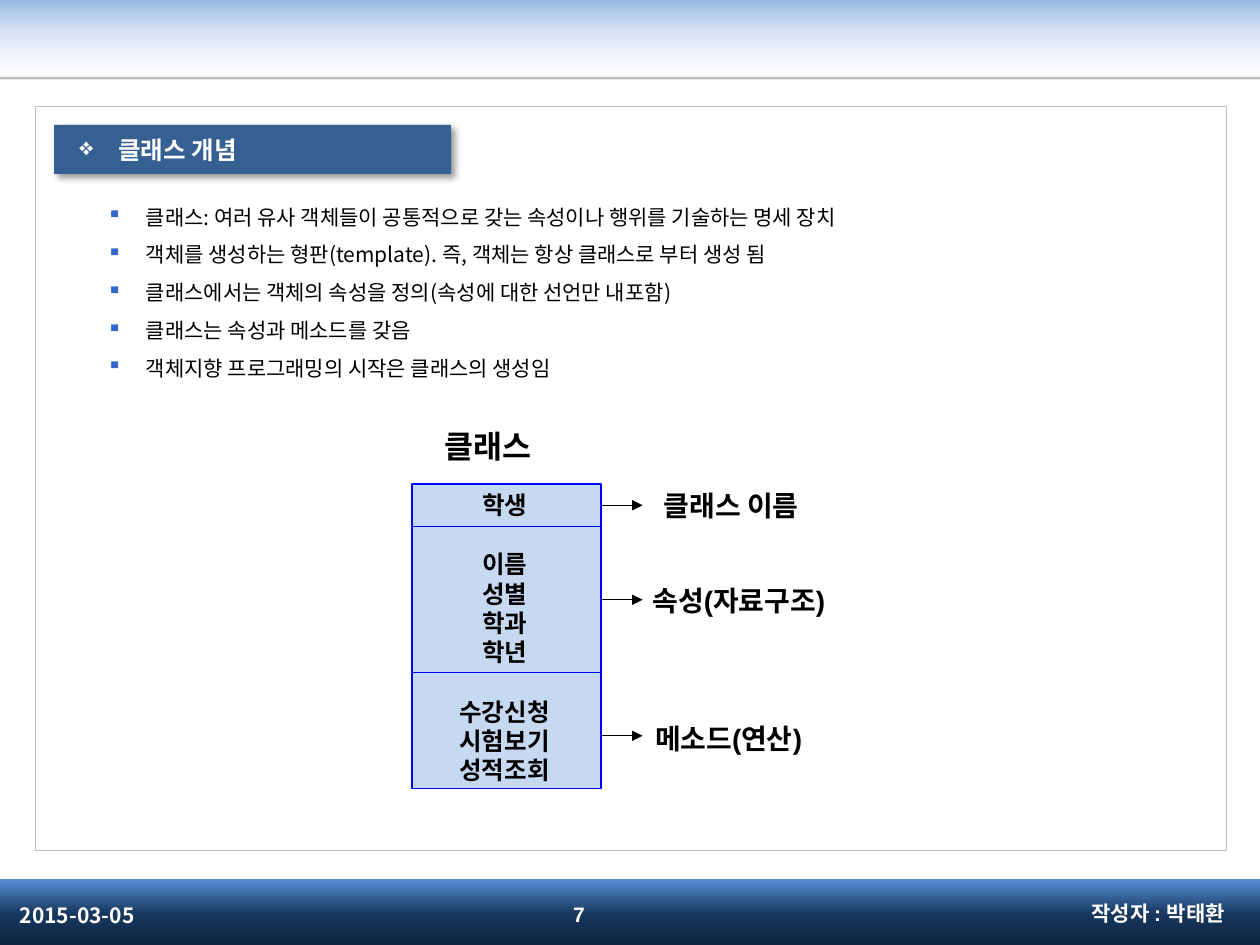
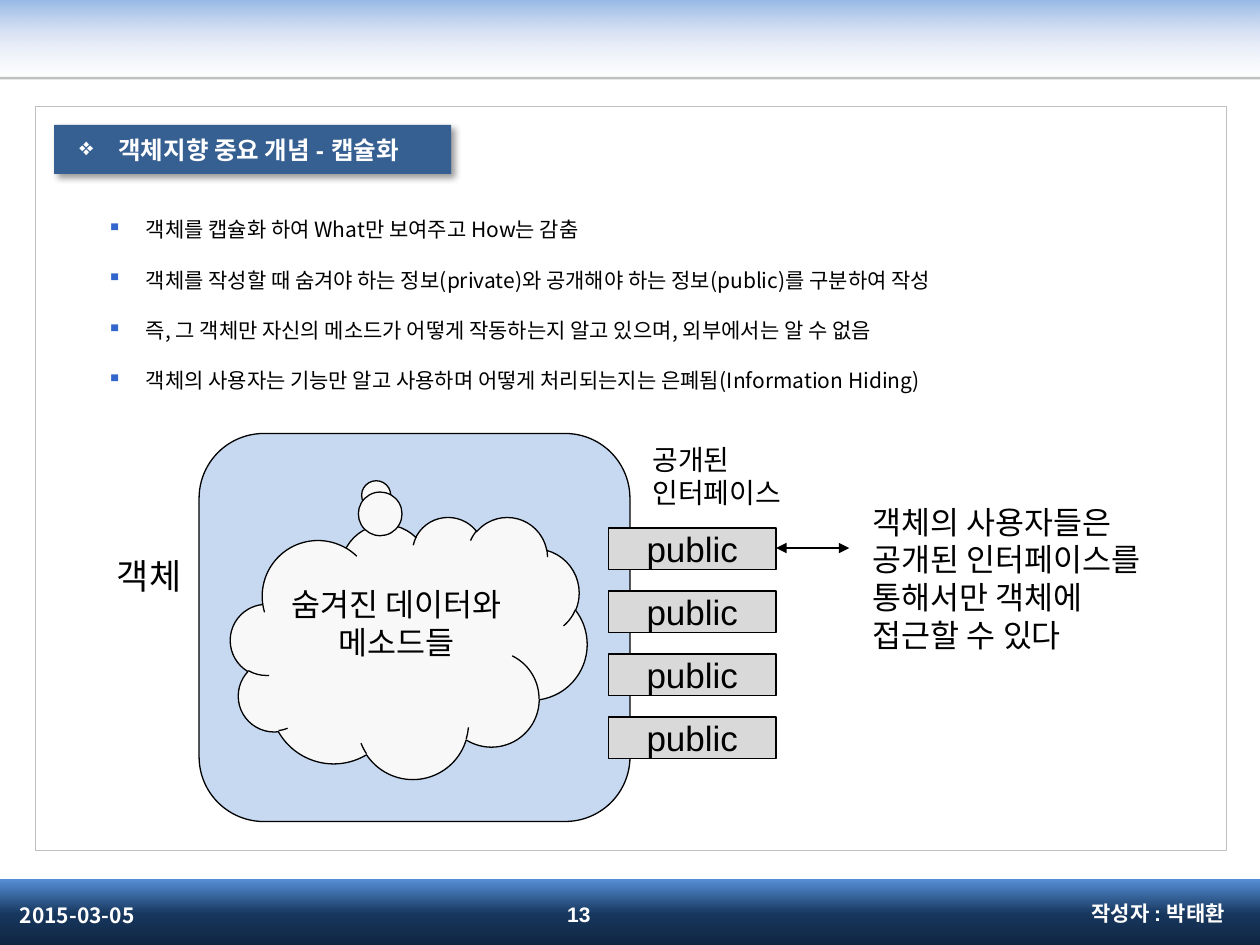
import pptx
import pptx.util
import pptx.dml.color
import pptx.enum.shapes
import pptx.enum.text
import pptx.oxml.ns
import lxml.etree

Inches = pptx.util.Inches
RGBColor = pptx.dml.color.RGBColor
KIND = pptx.enum.shapes.MSO_SHAPE
ALIGN = pptx.enum.text.PP_ALIGN
ANCHOR = pptx.enum.text.MSO_ANCHOR

BLACK = RGBColor(0x00, 0x00, 0x00)
WHITE = RGBColor(0xFF, 0xFF, 0xFF)
GRAY = RGBColor(0xBF, 0xBF, 0xBF)
SILVER = RGBColor(0xD9, 0xD9, 0xD9)
CLOUD = RGBColor(0xF8, 0xF8, 0xF8)
NAVY = RGBColor(0x37, 0x60, 0x92)
PALE = RGBColor(0xC6, 0xD9, 0xF1)
BLUE = RGBColor(0x00, 0x00, 0xFF)
MARK = RGBColor(0x33, 0x66, 0xCC)

ARIAL = "Arial"
NOTO = "Noto Sans CJK KR"

TOP_FADE = [(0, "8EB4E3", 100), (50, "C2D1ED", 50), (100, "E1E8F5", 0)]
FOOT_FADE = [(0, "558ED5", 100), (50, "17375E", 100), (100, "0F243E", 100)]

DATE = "2015-03-05"
AUTHOR = "작성자 : 박태환"

CLASS = {
    "title": "클래스 개념",
    "page": "7",
    "space": 1.5,
    "points": [
        "클래스: 여러 유사 객체들이 공통적으로 갖는 속성이나 행위를 기술하는 명세 장치",
        "객체를 생성하는 형판(template). 즉, 객체는 항상 클래스로 부터 생성 됨",
        "클래스에서는 객체의 속성을 정의(속성에 대한 선언만 내포함)",
        "클래스는 속성과 메소드를 갖음",
        "객체지향 프로그래밍의 시작은 클래스의 생성임",
    ],
}
PARTS = [["학생"], ["이름", "성별", "학과", "학년"], ["수강신청", "시험보기", "성적조회"]]
RULES = [4.18, 5.34]
LABELS = [
    ("클래스 이름", (5.17, 3.83, 1.4, 0.37), 4.01),
    ("속성(자료구조)", (5.08, 4.58, 1.71, 0.37), 4.76),
    ("메소드(연산)", (5.1, 5.68, 1.49, 0.37), 5.84),
]

CAPSULE = {
    "title": "객체지향 중요 개념 - 캡슐화",
    "page": "13",
    "space": 2.0,
    "points": [
        "객체를 캡슐화 하여 What만 보여주고 How는 감춤",
        "객체를 작성할 때 숨겨야 하는 정보(private)와 공개해야 하는 정보(public)를 구분하여 작성",
        "즉, 그 객체만 자신의 메소드가 어떻게 작동하는지 알고 있으며, 외부에서는 알 수 없음",
        "객체의 사용자는 기능만 알고 사용하며 어떻게 처리되는지는 은폐됨(Information Hiding)",
    ],
}
HIDDEN = ["숨겨진 데이터와", "메소드들"]
PORTS = ["public"] * 4
NOTES = [
    (["공개된", "인터페이스"], (5.08, 3.46, 1.31, 0.64), 16),
    (["객체"], (0.83, 4.35, 0.76, 0.43), 20),
    (["객체의 사용자들은", "공개된 인터페이스를", "통해서만 객체에", "접근할 수 있다"],
     (6.83, 3.94, 2.58, 1.6), 18),
]


def add_node(root, tag, **attrs):
    node = lxml.etree.SubElement(root, pptx.oxml.ns.qn("a:" + tag))
    for key, value in attrs.items():
        node.set(key, str(value))
    return node


def add_box(slide, kind, at, fill=None, line=None, width=0.75):
    shape = slide.shapes.add_shape(kind, *map(Inches, at))
    shape.shadow.inherit = False
    if fill is None:
        shape.fill.background()
    else:
        shape.fill.solid()
        shape.fill.fore_color.rgb = fill
    if line is None:
        shape.line.fill.background()
    else:
        shape.line.color.rgb = line
        shape.line.width = pptx.util.Pt(width)
    return shape


def add_fade(slide, at, stops):
    band = add_box(slide, KIND.RECTANGLE, at, WHITE)
    props = band.fill._xPr
    solid = props.find(pptx.oxml.ns.qn("a:solidFill"))
    grad = add_node(props, "gradFill", rotWithShape=1)
    chain = add_node(grad, "gsLst")
    for pos, color, alpha in stops:
        stop = add_node(chain, "gs", pos=pos * 1000)
        tint = add_node(stop, "srgbClr", val=color)
        if alpha < 100:
            add_node(tint, "alpha", val=alpha * 1000)
    add_node(grad, "lin", ang=90 * 60000, scaled=0)
    props.replace(solid, grad)


def add_line(slide, start, end, color, head=False, tail=False):
    line = slide.shapes.add_connector(
        pptx.enum.shapes.MSO_CONNECTOR.STRAIGHT, *map(Inches, start + end))
    line.line.color.rgb = color
    line.line.width = pptx.util.Pt(0.75)
    stroke = line.line._get_or_add_ln()
    if head:
        add_node(stroke, "headEnd", type="triangle")
    if tail:
        add_node(stroke, "tailEnd", type="triangle")
    add_node(line._element.spPr, "effectLst")


def write(shape, lines, size, color=BLACK, font=ARIAL, bold=False, align=ALIGN.LEFT,
          anchor=ANCHOR.TOP, wrap=True, bullet=None, mark=None, space=None):
    frame = shape.text_frame
    frame.word_wrap = wrap
    frame.vertical_anchor = anchor
    for i, words in enumerate(lines):
        para = frame.paragraphs[0] if i == 0 else frame.add_paragraph()
        para.alignment = align
        if space:
            para.line_spacing = space
        if bullet:
            props = para._p.get_or_add_pPr()
            props.set("marL", str(Inches(0.31)))
            props.set("indent", str(Inches(-0.31)))
            if mark is not None:
                add_node(add_node(props, "buClr"), "srgbClr", val=mark)
            add_node(props, "buChar", char=bullet)
        run = para.add_run()
        run.text = words
        run.font.size = pptx.util.Pt(size)
        run.font.bold = bold
        run.font.name = font
        run.font.color.rgb = color
        add_node(run._r.get_or_add_rPr(), "ea", typeface=NOTO)
    return frame


def add_text(slide, at, lines, size, **style):
    return write(slide.shapes.add_textbox(*map(Inches, at)), lines, size, **style)


def add_base(deck, data):
    slide = deck.slides.add_slide(deck.slide_layouts[6])
    add_fade(slide, (-0.04, -0.03, 10.04, 0.66), TOP_FADE)
    add_fade(slide, (-0.04, 6.98, 10.04, 0.55), FOOT_FADE)
    add_box(slide, KIND.RECTANGLE, (0, 0.61, 10, 0.02), GRAY)
    add_box(slide, KIND.RECTANGLE, (0.28, 0.84, 9.45, 5.91), line=GRAY, width=0.25)

    title = add_box(slide, KIND.RECTANGLE, (0.43, 0.99, 3.15, 0.39), NAVY)
    effects = title._element.spPr.find(pptx.oxml.ns.qn("a:effectLst"))
    shade = add_node(effects, "outerShdw", blurRad=pptx.util.Pt(4), dist=pptx.util.Pt(3),
                     dir=45 * 60000, algn="tl", rotWithShape=0)
    add_node(add_node(shade, "srgbClr", val=BLACK), "alpha", val=40000)
    frame = write(title, [data["title"]], 14, color=WHITE, bold=True,
                  anchor=ANCHOR.MIDDLE, bullet="❖")
    frame.margin_left = Inches(0.2)

    add_text(slide, (0.75, 1.47, 8.9, 1.92), data["points"], 12, font=NOTO,
             bullet="▪", mark=MARK, space=data["space"])
    foot = [
        (AUTHOR, (6.65, 7.05, 3.17, 0.4), ARIAL, ALIGN.RIGHT),
        (DATE, (0.06, 7.06, 2.33, 0.4), NOTO, ALIGN.LEFT),
        (data["page"], (3.43, 7.06, 2.33, 0.39), ARIAL, ALIGN.CENTER),
    ]
    for words, at, font, align in foot:
        add_text(slide, at, [words], 12, color=WHITE, font=font, bold=True,
                 align=align, anchor=ANCHOR.MIDDLE)
    return slide


def draw_class(deck):
    slide = add_base(deck, CLASS)
    left, width = 3.27, 1.5
    right = left + width
    add_box(slide, KIND.RECTANGLE, (left, 3.84, width, 2.42), PALE, BLUE)
    for y in RULES:
        add_line(slide, (left, y), (right, y), BLUE)
    frame = add_text(slide, (3.51, 3.84, 0.99, 2.46), sum(PARTS, []), 14,
                     bold=True, align=ALIGN.CENTER)
    first = 0
    for part in PARTS[:-1]:
        first += len(part)
        frame.paragraphs[first].space_before = pptx.util.Pt(17)
    for words, at, y in LABELS:
        add_line(slide, (right, y), (5.1, y), BLACK, tail=True)
        add_text(slide, at, [words], 16, bold=True)
    add_text(slide, (3.43, 3.34, 0.96, 0.4), ["클래스"], 18, bold=True)


def draw_capsule(deck):
    slide = add_base(deck, CAPSULE)
    shell = add_box(slide, KIND.ROUNDED_RECTANGLE, (1.58, 3.44, 3.42, 3.08), PALE, BLACK)
    shell.adjustments[0] = 0.167
    cloud = add_box(slide, KIND.CLOUD_CALLOUT, (1.83, 4.1, 2.83, 2.08), CLOUD, BLACK)
    cloud.adjustments[0] = -0.094
    cloud.adjustments[1] = -0.598
    frame = write(cloud, HIDDEN, 18, align=ALIGN.CENTER, anchor=ANCHOR.MIDDLE, wrap=False)
    frame.margin_bottom = Inches(0.35)
    for i, words in enumerate(PORTS):
        port = add_box(slide, KIND.RECTANGLE, (4.83, 4.19 + 0.5 * i, 1.33, 0.33), SILVER, BLACK)
        write(port, [words], 20, align=ALIGN.CENTER, anchor=ANCHOR.MIDDLE, wrap=False)
    for lines, at, size in NOTES:
        add_text(slide, at, lines, size)
    add_line(slide, (6.16, 4.35), (6.74, 4.35), BLACK, head=True, tail=True)


def main():
    deck = pptx.Presentation()
    deck.slide_width = Inches(10)
    deck.slide_height = Inches(7.5)
    draw_class(deck)
    draw_capsule(deck)
    deck.save("out.pptx")


if __name__ == "__main__":
    main()
